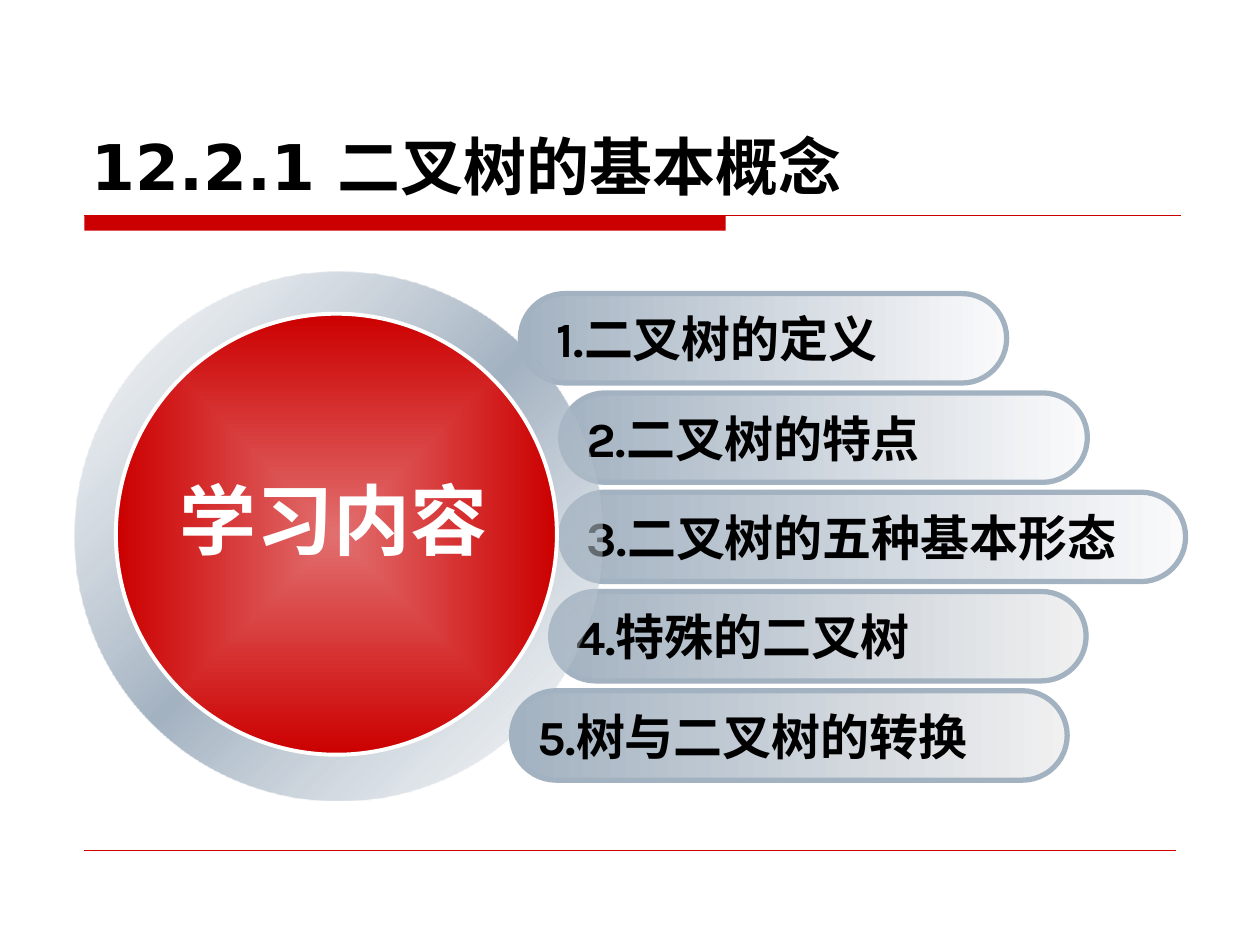
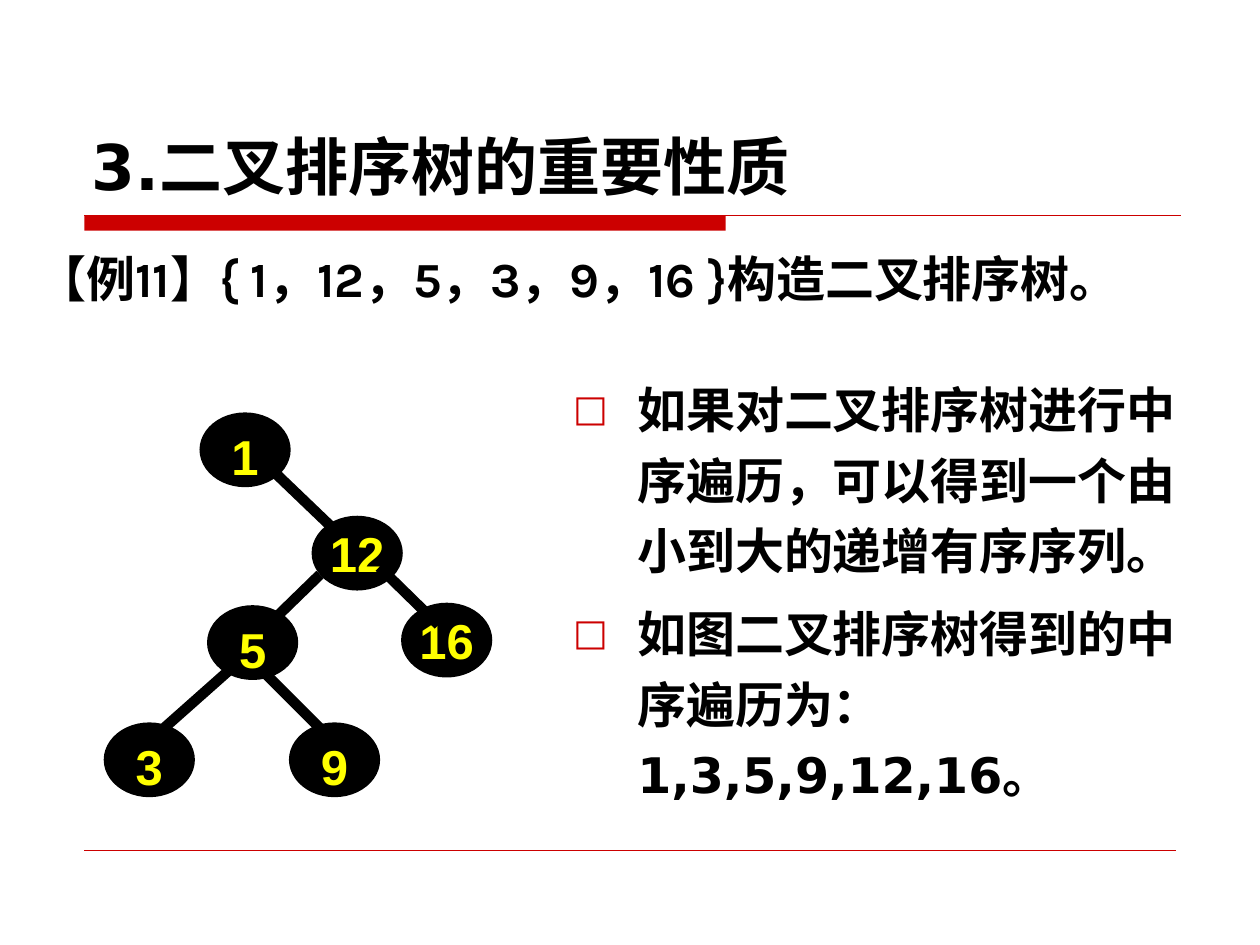
from dataclasses import dataclass
from typing import NamedTuple

from lxml.etree import SubElement
from pptx import Presentation
from pptx.dml.color import RGBColor
from pptx.enum.shapes import MSO_CONNECTOR as CONN, MSO_SHAPE as SHAPE
from pptx.enum.text import MSO_ANCHOR as ANCHOR, MSO_AUTO_SIZE as AUTO, PP_ALIGN as ALIGN
from pptx.oxml.ns import qn
from pptx.util import Emu, Inches, Pt

COLS, ROWS = 100, 75
CELL = Inches(0.1)
RED, STEEL, MIST = "CC0000", "A3B2C1", "C7D0D9"
BLACK, WHITE, YELLOW = "000000", "FFFFFF", "FFFF00"
SANS, LATIN, CJK, LABEL = "DejaVu Sans", "Karla", "Noto Sans CJK SC", "Arial"
BODY_SIZE = 28


class Box(NamedTuple):
    col: float
    row: float
    cols: float
    rows: float


class Edge(NamedTuple):
    col1: float
    row1: float
    col2: float
    row2: float


class Stop(NamedTuple):
    pos: int
    color: str
    opacity: int = 100


@dataclass
class Topic:
    number: str
    name: str
    col: float
    cols: float
    end: str
    pad: float = 1


@dataclass
class Node:
    key: str
    col: float
    row: float


TOPICS = [
    Topic("1.", "二叉树的定义", 41.3, 38.6, "FAFAFB", 1.8),
    Topic("2.", "二叉树的特点", 44.5, 41.8, "FAFAFB"),
    Topic("3.", "二叉树的五种基本形态", 44.5, 49.6, "FAFAFB"),
    Topic("4.", "特殊的二叉树", 43.7, 42.5, "F0F0F0"),
    Topic("5.", "树与二叉树的转换", 40.6, 44.1, "F0F0F0"),
]
TOPIC_TOP, TOPIC_STEP, TOPIC_ROWS = 23.3, 7.88, 7.1

NODES = [
    Node("1", 15.9, 32.8),
    Node("12", 24.8, 41),
    Node("5", 16.5, 48.1),
    Node("3", 8.3, 57.4),
    Node("9", 23, 57.4),
    Node("16", 31.9, 47.9),
]
EDGES = [
    Edge(21.8, 37.5, 26.6, 42.1),
    Edge(20.7, 53.1, 25.4, 57.8),
    Edge(30.1, 45, 34.8, 49.6),
    Edge(21.8, 49.1, 25.4, 45.6),
    Edge(13, 57.8, 18.3, 53.1),
]
POINTS = [
    "如果对二叉排序树进行中序遍历，可以得到一个由小到大的递增有序序列。",
    "如图二叉排序树得到的中序遍历为：1,3,5,9,12,16。",
]


def u(cells: float) -> Emu:
    return Emu(round(cells * CELL))


def rgb(color: str) -> RGBColor:
    return RGBColor.from_string(color)


def add_run(p, text: str, font: str, size: float, color: str = BLACK):
    r = p.add_run()
    r.text = text
    r.font.size, r.font.bold, r.font.name = Pt(size), True, font
    r.font.color.rgb = rgb(color)
    SubElement(r._r.get_or_add_rPr(), qn("a:ea"), typeface=font)
    return r


def add_shape(shapes, kind, box: Box, fill: str = "", line: str = "", width: float = 0):
    sp = shapes.add_shape(kind, *map(u, box))
    sp.shadow.inherit = False
    if fill:
        sp.fill.solid()
        sp.fill.fore_color.rgb = rgb(fill)
    if line:
        sp.line.color.rgb = rgb(line)
        sp.line.width = Pt(width)
    else:
        sp.line.fill.background()
    return sp


def add_gradient(sp, stops: list[Stop], angle: int = 0, from_center: bool = False) -> None:
    sp.fill.gradient()
    grad = sp._element.spPr.find(qn("a:gradFill"))
    for child in list(grad):
        grad.remove(child)
    gs_list = SubElement(grad, qn("a:gsLst"))
    for stop in stops:
        gs = SubElement(gs_list, qn("a:gs"), pos=str(stop.pos * 1000))
        clr = SubElement(gs, qn("a:srgbClr"), val=stop.color)
        if stop.opacity < 100:
            SubElement(clr, qn("a:alpha"), val=str(stop.opacity * 1000))
    if from_center:
        shade = SubElement(grad, qn("a:path"), {"path": "rect"})
        SubElement(shade, qn("a:fillToRect"), dict.fromkeys("ltrb", "50000"))
    else:
        SubElement(grad, qn("a:lin"), ang=str(angle * 60000), scaled="0")


def add_line(shapes, edge: Edge, color: str, width: float) -> None:
    cx = shapes.add_connector(CONN.STRAIGHT, *map(u, edge))
    cx.line.color.rgb = rgb(color)
    cx.line.width = Pt(width)
    SubElement(cx._element.spPr, qn("a:effectLst"))


def add_text_box(shapes, box: Box):
    tf = shapes.add_textbox(*map(u, box)).text_frame
    tf.word_wrap = True
    return tf


def add_bullet(p) -> None:
    pPr = p._p.get_or_add_pPr()
    indent = Inches(0.51)
    pPr.set("marL", str(indent))
    pPr.set("indent", str(-indent))
    clr = SubElement(pPr, qn("a:buClr"))
    SubElement(clr, qn("a:srgbClr"), val=RED)
    SubElement(pPr, qn("a:buSzPct"), val="75000")
    SubElement(pPr, qn("a:buFont"), typeface=SANS)
    SubElement(pPr, qn("a:buChar"), char="□")


def add_slide(prs, title: str):
    slide = prs.slides.add_slide(prs.slide_layouts[5])
    shapes = slide.shapes
    add_shape(shapes, SHAPE.RECTANGLE, Box(6.7, 17.1, 50.9, 1.2), RED)
    add_line(shapes, Edge(6.7, 17.1, 93.7, 17.1), RED, 0.75)
    add_line(shapes, Edge(6.7, 67.5, 93.3, 67.5), RED, 0.25)
    sp = shapes.title
    sp.left, sp.top, sp.width, sp.height = map(u, Box(6.3, 3.3, 87.5, 13.3))
    tf = sp.text_frame
    tf.auto_size, tf.vertical_anchor = AUTO.NONE, ANCHOR.BOTTOM
    p = tf.paragraphs[0]
    p.alignment = ALIGN.LEFT
    add_run(p, title, SANS, 36)
    return slide


def add_topic(shapes, topic: Topic, index: int) -> None:
    box = Box(topic.col, TOPIC_TOP + index * TOPIC_STEP, topic.cols, TOPIC_ROWS)
    sp = add_shape(shapes, SHAPE.ROUNDED_RECTANGLE, box, line=STEEL, width=3)
    sp.adjustments[0] = 0.5
    add_gradient(sp, [Stop(0, STEEL), Stop(100, topic.end)])
    tf = sp.text_frame
    tf.word_wrap, tf.vertical_anchor = True, ANCHOR.MIDDLE
    tf.margin_left = u(topic.pad)
    p = tf.paragraphs[0]
    p.alignment = ALIGN.LEFT
    add_run(p, topic.number, LATIN, BODY_SIZE)
    add_run(p, topic.name, CJK, BODY_SIZE)


def add_hub(shapes) -> None:
    ring = add_shape(shapes, SHAPE.DONUT, Box(5.9, 21.6, 41.9, 41.9))
    ring.adjustments[0] = 0.09
    add_gradient(ring, [Stop(0, MIST, 12), Stop(50, STEEL), Stop(100, MIST, 12)], 45)
    disc = add_shape(shapes, SHAPE.OVAL, Box(9.2, 24.9, 35, 35), line=WHITE, width=2.25)
    add_gradient(disc, [Stop(0, "E26F6F"), Stop(100, RED)], from_center=True)
    p = add_text_box(shapes, Box(11.4, 37, 30.1, 8.4)).paragraphs[0]
    p.alignment = ALIGN.CENTER
    r = add_run(p, "学习内容", LABEL, 44, WHITE)
    rPr = r._r.get_or_add_rPr()
    effects = SubElement(rPr, qn("a:effectLst"))
    shadow = SubElement(effects, qn("a:outerShdw"), dist="35921", dir="2700000")
    SubElement(shadow, qn("a:srgbClr"), val=BLACK)
    rPr.find(qn("a:solidFill")).addnext(effects)


def add_node(shapes, node: Node) -> None:
    sp = add_shape(shapes, SHAPE.OVAL, Box(node.col, node.row, 7.1, 5.8), BLACK, BLACK, 1)
    tf = sp.text_frame
    tf.word_wrap, tf.vertical_anchor = False, ANCHOR.MIDDLE
    tf.margin_left = tf.margin_right = tf.margin_bottom = 0
    tf.margin_top = u(1 if len(node.key) == 1 else 0)
    p = tf.paragraphs[0]
    p.alignment = ALIGN.CENTER
    add_run(p, node.key, LABEL, BODY_SIZE, YELLOW)


def build_contents(prs) -> None:
    shapes = add_slide(prs, "12.2.1 二叉树的基本概念").shapes
    for i, topic in enumerate(TOPICS[:-1]):
        add_topic(shapes, topic, i)
    add_hub(shapes)
    add_topic(shapes, TOPICS[-1], len(TOPICS) - 1)


def build_sort_tree(prs) -> None:
    shapes = add_slide(prs, "3.二叉排序树的重要性质").shapes
    tf = add_text_box(shapes, Box(44.5, 28.7, 51, 34.9))
    for i, point in enumerate(POINTS):
        p = tf.add_paragraph() if i else tf.paragraphs[0]
        add_bullet(p)
        p.line_spacing = 1.2
        p.space_before = Pt(7 if i else 0)
        add_run(p, point, SANS, BODY_SIZE)
    tree = shapes.add_group_shape().shapes
    for node in NODES:
        add_node(tree, node)
    for edge in EDGES:
        add_line(tree, edge, BLACK, 6)
    p = add_text_box(shapes, Box(2, 19.2, 93.7, 10.4)).paragraphs[0]
    add_run(p, "【例11】{ 1，12，5，3，9，16 }构造二叉排序树。", LATIN, BODY_SIZE)


def main() -> None:
    prs = Presentation()
    prs.slide_width, prs.slide_height = u(COLS), u(ROWS)
    build_contents(prs)
    build_sort_tree(prs)
    prs.save("out.pptx")


if __name__ == "__main__":
    main()
